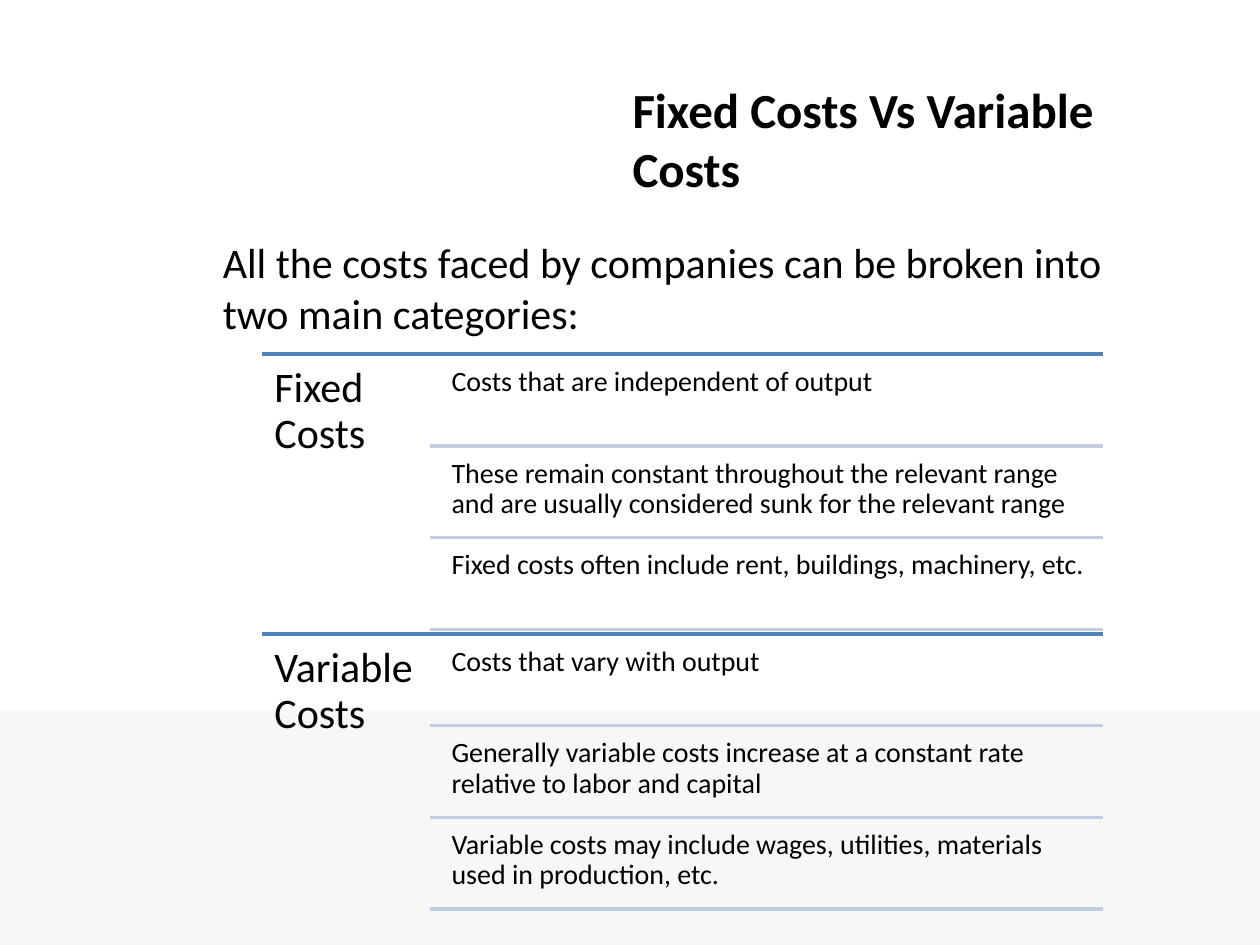
import pptx
import pptx.util
import pptx.dml.color
import pptx.enum.shapes
import pptx.enum.text
import lxml.etree
from pptx.util import Inches, Pt

GROUPS = [
    ("Fixed Costs", [
        "Costs that are independent of output",
        "These remain constant throughout the relevant range and are usually "
        "considered sunk for the relevant range",
        "Fixed costs often include rent, buildings, machinery, etc.",
    ]),
    ("Variable Costs", [
        "Costs that vary with output",
        "Generally variable costs increase at a constant rate relative to "
        "labor and capital",
        "Variable costs may include wages, utilities, materials used in "
        "production, etc.",
    ]),
]


def paint(color, value):
    color.rgb = pptx.dml.color.RGBColor.from_string(value)


def write(shape, text, size, inset=None, bold=False, spacing=None):
    frame = shape.text_frame
    frame.word_wrap = True
    frame.auto_size = pptx.enum.text.MSO_AUTO_SIZE.NONE
    frame.vertical_anchor = pptx.enum.text.MSO_ANCHOR.TOP
    if inset is not None:
        frame.margin_left = frame.margin_right = Inches(inset)
        frame.margin_top = frame.margin_bottom = Inches(inset)
    frame.text = text
    para = frame.paragraphs[0]
    para.alignment = pptx.enum.text.PP_ALIGN.LEFT
    if spacing:
        para.line_spacing = spacing
    para.font.name = "Calibri"
    para.font.size = Pt(size)
    para.font.bold = bold
    paint(para.font.color, "000000")


def label(slide, box, text, size, **style):
    shape = slide.shapes.add_textbox(*map(Inches, box))
    write(shape, text, size, **style)


def rule(slide, left, right, top, color):
    line = slide.shapes.add_connector(
        pptx.enum.shapes.MSO_CONNECTOR.STRAIGHT,
        Inches(left), Inches(top), Inches(right), Inches(top))
    line.line.width = Pt(2)
    paint(line.line.color, color)
    props = line._element.spPr
    lxml.etree.SubElement(props, pptx.oxml.ns.qn("a:effectLst"))


def band(slide, box):
    shape = slide.shapes.add_shape(
        pptx.enum.shapes.MSO_SHAPE.RECTANGLE, *map(Inches, box))
    shape.shadow.inherit = False
    shape.fill.solid()
    paint(shape.fill.fore_color, "F7F7F7")
    shape.line.fill.background()


def heading(slide, box):
    title = slide.shapes.title
    title.left, title.top, title.width, title.height = map(Inches, box)
    write(title, "Fixed Costs Vs Variable Costs", 28, bold=True)


def group(slide, box, name, items):
    left, top, width, height = box
    right = left + width
    split = left + width / 5
    indent = split + 0.1
    gap = 0.035
    pitch = (height - gap) / len(items)
    rule(slide, left, right, top, "4F81BD")
    label(slide, (left, top, width / 5, height), name, 24,
          inset=0.1, spacing=0.9)
    for index, item in enumerate(items):
        start = top + gap + index * pitch
        label(slide, (indent, start, right - indent, pitch - gap), item, 16,
              inset=0.07, spacing=0.9)
        rule(slide, split, right, start + pitch - gap, "C2CDE1")


def groups(slide, box):
    left, top, width, height = box
    step = height / len(GROUPS)
    for index, (name, items) in enumerate(GROUPS):
        group(slide, (left, top + index * step, width, step), name, items)


def main():
    deck = pptx.Presentation()
    deck.slide_width, deck.slide_height = Inches(10), Inches(7.5)
    slide = deck.slides.add_slide(deck.slide_layouts[5])
    band(slide, (0, 5.64, 10, 1.86))
    label(slide, (1.67, 1.83, 7.5, 0.91),
          "All the costs faced by companies can be broken into two main "
          "categories:", 24)
    heading(slide, (4.92, 0.58, 4.08, 1.04))
    groups(slide, (2.08, 2.81, 6.67, 4.44))
    deck.save("out.pptx")


if __name__ == "__main__":
    main()
